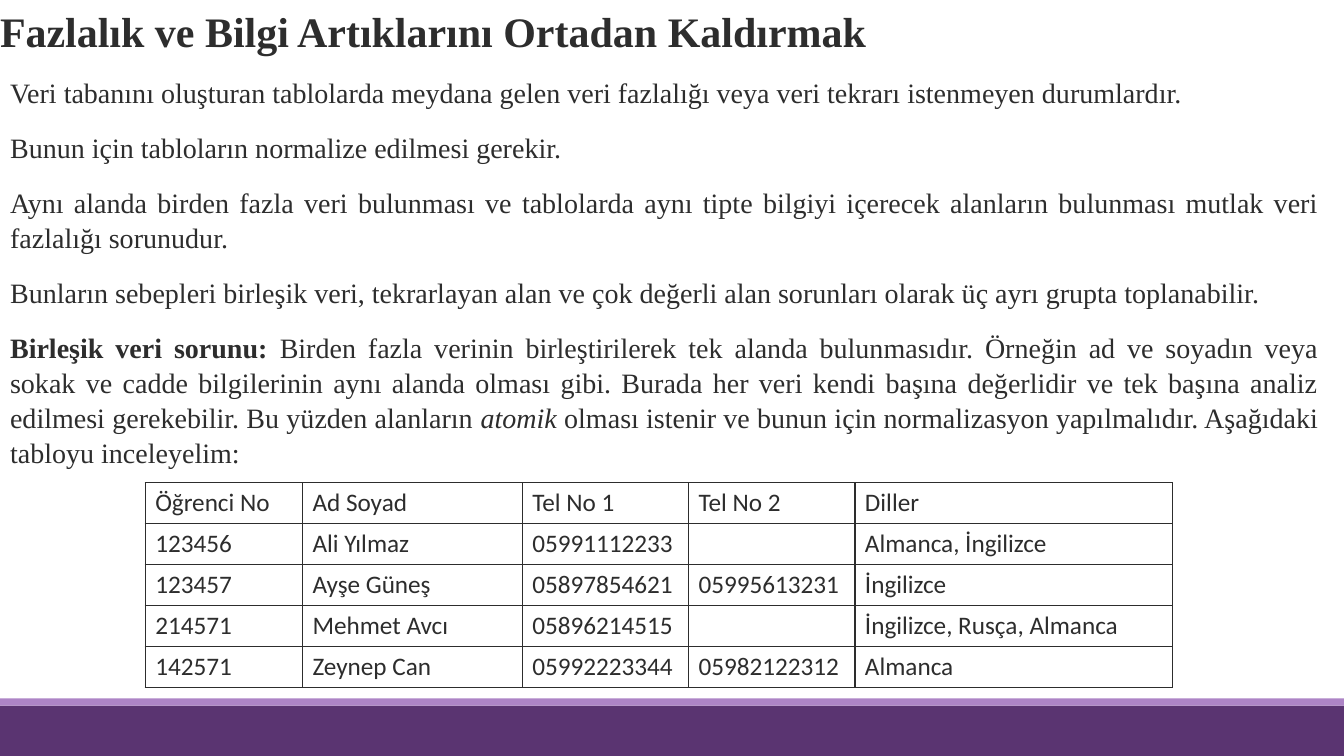
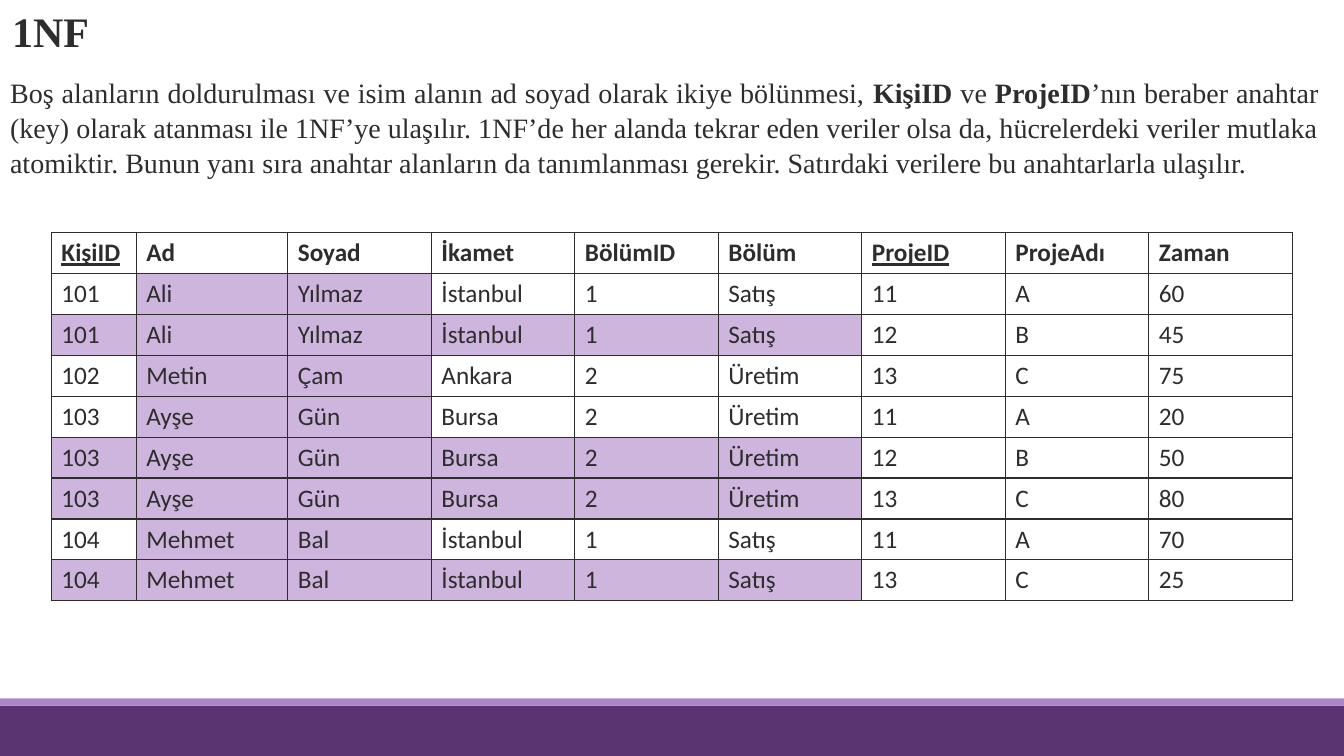
import pptx
import pptx.util
import pptx.dml.color
import pptx.enum.shapes
import pptx.enum.text
from lxml import etree

Inches = pptx.util.Inches
Pt = pptx.util.Pt
RGBColor = pptx.dml.color.RGBColor
Align = pptx.enum.text.PP_ALIGN
Anchor = pptx.enum.text.MSO_ANCHOR

INK = RGBColor(0x2D, 0x2D, 0x2D)
PLUM = RGBColor(0x5A, 0x34, 0x71)
LILAC = RGBColor(0xAD, 0x84, 0xC6)
SHADE = RGBColor(0xCE, 0xB5, 0xDD)
WHITE = RGBColor(0xFF, 0xFF, 0xFF)
SERIF = "Times New Roman"
SANS = "Calibri"
WIDTH, HEIGHT = 13.33, 7.5
BODY = (0, 0.68, 13.08, 6.38)
BANDS = [((0, 7, WIDTH, 0.5), PLUM), ((0, 6.93, WIDTH, 0.07), LILAC)]
NS = "http://schemas.openxmlformats.org/drawingml/2006/main"

EXCESS = [
    [("Veri tabanını oluşturan tablolarda meydana gelen veri fazlalığı veya veri "
      "tekrarı istenmeyen durumlardır.", {})],
    [("Bunun için tabloların normalize edilmesi gerekir.", {})],
    [("Aynı alanda birden fazla veri bulunması ve tablolarda aynı tipte bilgiyi "
      "içerecek alanların bulunması mutlak veri fazlalığı sorunudur.", {})],
    [("Bunların sebepleri birleşik veri, tekrarlayan alan ve çok değerli alan "
      "sorunları olarak üç ayrı grupta toplanabilir.", {})],
    [("Birleşik veri sorunu: ", {"bold": True}),
     ("Birden fazla verinin birleştirilerek tek alanda bulunmasıdır. Örneğin ad ve "
      "soyadın veya sokak ve cadde bilgilerinin aynı alanda olması gibi. Burada her "
      "veri kendi başına değerlidir ve tek başına analiz edilmesi gerekebilir. Bu "
      "yüzden alanların ", {}),
     ("atomik", {"italic": True}),
     (" olması istenir ve bunun için normalizasyon yapılmalıdır. Aşağıdaki tabloyu "
      "inceleyelim:", {})],
]
NORMAL = [
    [("Boş alanların doldurulması ve isim alanın ad soyad olarak ikiye bölünmesi, ", {}),
     ("KişiID", {"bold": True}),
     (" ve ", {}),
     ("ProjeID", {"bold": True}),
     ("’nın beraber anahtar (key) olarak atanması ile 1NF’ye ulaşılır. 1NF’de her "
      "alanda tekrar eden veriler olsa da, hücrelerdeki veriler mutlaka atomiktir. "
      "Bunun yanı sıra anahtar alanların da tanımlanması gerekir. Satırdaki verilere "
      "bu anahtarlarla ulaşılır.", {})],
]
PUPILS = [
    ["Öğrenci No", "Ad Soyad", "Tel No 1", "Tel No 2", "Diller"],
    ["123456", "Ali Yılmaz", "05991112233", "", "Almanca, İngilizce"],
    ["123457", "Ayşe Güneş", "05897854621", "05995613231", "İngilizce"],
    ["214571", "Mehmet Avcı", "05896214515", "", "İngilizce, Rusça, Almanca"],
    ["142571", "Zeynep Can", "05992223344", "05982122312", "Almanca"],
]
STAFF = [
    ["KişiID", "Ad", "Soyad", "İkamet", "BölümID", "Bölüm", "ProjeID", "ProjeAdı", "Zaman"],
    ["101", "Ali", "Yılmaz", "İstanbul", "1", "Satış", "11", "A", "60"],
    ["101", "Ali", "Yılmaz", "İstanbul", "1", "Satış", "12", "B", "45"],
    ["102", "Metin", "Çam", "Ankara", "2", "Üretim", "13", "C", "75"],
    ["103", "Ayşe", "Gün", "Bursa", "2", "Üretim", "11", "A", "20"],
    ["103", "Ayşe", "Gün", "Bursa", "2", "Üretim", "12", "B", "50"],
    ["103", "Ayşe", "Gün", "Bursa", "2", "Üretim", "13", "C", "80"],
    ["104", "Mehmet", "Bal", "İstanbul", "1", "Satış", "11", "A", "70"],
    ["104", "Mehmet", "Bal", "İstanbul", "1", "Satış", "13", "C", "25"],
]
KEYS = ("KişiID", "ProjeID")


def write(para, text, size=20, face=SERIF, bold=False, italic=False, under=False):
    """Add a formatted run to a paragraph."""
    run = para.add_run()
    run.text = text
    font = run.font
    font.size, font.name, font.color.rgb = Pt(size), face, INK
    font.bold, font.italic, font.underline = bold, italic, under


def place(holder, box, anchor):
    """Move a placeholder to a box and return its text frame."""
    holder.left, holder.top, holder.width, holder.height = map(Inches, box)
    frame = holder.text_frame
    frame.word_wrap = True
    frame.auto_size = pptx.enum.text.MSO_AUTO_SIZE.NONE
    frame.vertical_anchor = anchor
    frame.margin_left = frame.margin_right = 0
    frame.margin_top = frame.margin_bottom = Inches(0.05)
    return frame


def space(para, align, lines):
    """Set the alignment and spacing of a paragraph."""
    para.alignment, para.line_spacing = align, lines
    para.space_before, para.space_after = Pt(12), Pt(2)


def add_bands(slide):
    """Draw the two bands at the foot of a slide."""
    for box, color in BANDS:
        band = slide.shapes.add_shape(
            pptx.enum.shapes.MSO_SHAPE.RECTANGLE, *map(Inches, box))
        band.shadow.inherit = False
        band.fill.solid()
        band.fill.fore_color.rgb = color
        band.line.fill.background()


def add_title(slide, text, left):
    """Fill the title placeholder."""
    frame = place(slide.shapes.title, (left, 0, WIDTH, 0.68), Anchor.MIDDLE)
    para = frame.paragraphs[0]
    space(para, Align.LEFT, 0.9)
    write(para, text, size=30, bold=True)


def add_body(slide, paras, box):
    """Fill the body placeholder with justified paragraphs."""
    frame = place(slide.placeholders[1], box, Anchor.TOP)
    for num, runs in enumerate(paras):
        para = frame.add_paragraph() if num else frame.paragraphs[0]
        space(para, Align.JUSTIFY, 1.05)
        props = para._p.get_or_add_pPr()
        props.set("marL", str(Inches(0.1)))
        props.set("indent", "0")
        etree.SubElement(props, f"{{{NS}}}buNone")
        for text, style in runs:
            write(para, text, **style)


def rule(cell):
    """Draw a thin line on each side of a cell."""
    props = cell._tc.get_or_add_tcPr()
    for side in ("lnL", "lnR", "lnT", "lnB"):
        line = etree.SubElement(props, f"{{{NS}}}{side}", w=str(Pt(1)))
        fill = etree.SubElement(line, f"{{{NS}}}solidFill")
        etree.SubElement(fill, f"{{{NS}}}srgbClr", val=str(INK))


def add_grid(slide, rows, parts, box, head=False, shaded=None):
    """Add a ruled table whose columns share the box width in proportion."""
    table = slide.shapes.add_table(len(rows), len(parts), *map(Inches, box)).table
    table.first_row = table.horz_banding = False
    for col, part in zip(table.columns, parts):
        col.width = Inches(box[2] * part / sum(parts))
    for y, row in enumerate(rows):
        table.rows[y].height = Inches(box[3] / len(rows))
        for x, text in enumerate(row):
            cell = table.cell(y, x)
            rule(cell)
            cell.fill.solid()
            cell.fill.fore_color.rgb = SHADE if shaded and shaded(y, x) else WHITE
            if text:
                write(cell.text_frame.paragraphs[0], text, size=18, face=SANS,
                      bold=head and y == 0, under=head and text in KEYS)


def repeats(y, x):
    """Tell whether a staff cell is a name or repeats the row above."""
    again = STAFF[y][0] == STAFF[y - 1][0]
    return y > 0 and (x in (1, 2) or (again and x < 6))


def add_page(deck, title, left, paras):
    """Add a slide with bands, title and body."""
    slide = deck.slides.add_slide(deck.slide_layouts[1])
    add_bands(slide)
    add_title(slide, title, left)
    add_body(slide, paras, BODY)
    return slide


def main():
    """Build and save the deck."""
    deck = pptx.Presentation()
    deck.slide_width, deck.slide_height = Inches(WIDTH), Inches(HEIGHT)
    page = add_page(deck, "Fazlalık ve Bilgi Artıklarını Ortadan Kaldırmak", 0, EXCESS)
    add_grid(page, PUPILS, [1.56, 2.18, 1.65, 1.65, 3.15], (1.44, 4.79, 10.19, 2.02))
    page = add_page(deck, "1NF", 0.12, NORMAL)
    add_grid(page, STAFF, [0.84, 1.5] + [1.42] * 7, (0.51, 2.31, 12.31, 3.65),
             head=True, shaded=repeats)
    deck.save("out.pptx")


if __name__ == "__main__":
    main()
